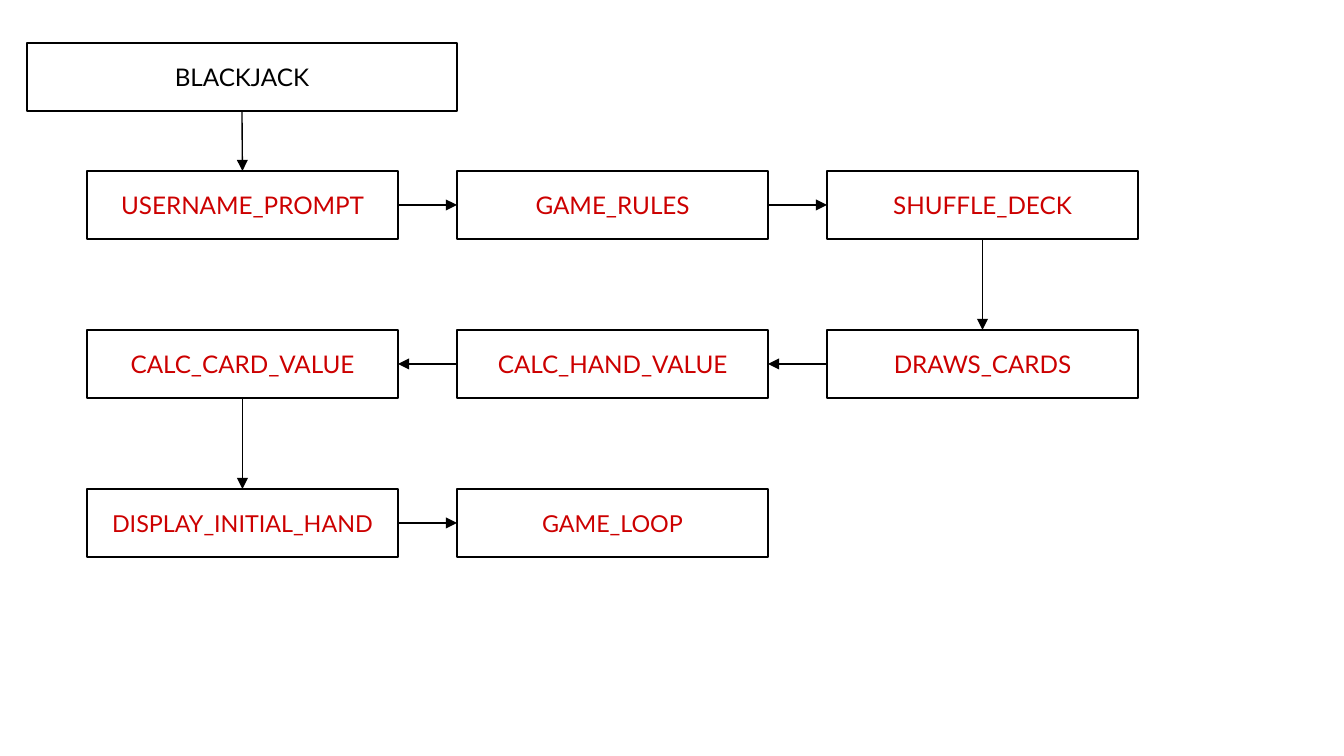
from dataclasses import dataclass
from enum import IntEnum

from lxml.etree import SubElement
from pptx import Presentation
from pptx.dml.color import RGBColor
from pptx.enum.shapes import MSO_CONNECTOR as Conn, MSO_SHAPE as Shape
from pptx.enum.text import MSO_ANCHOR as Anchor, PP_ALIGN as Align
from pptx.oxml.ns import qn
from pptx.shapes.autoshape import Shape as Box
from pptx.slide import Slide
from pptx.util import Emu, Inches, Pt

EMU_PER_PX = 914400 / 134.4


@dataclass(frozen=True)
class Theme:
    font: str = "Lato"
    ink: str = "000000"
    accent: str = "CC0000"
    size: float = 13
    small: float = 12.5
    line: float = 0.75


@dataclass(frozen=True)
class Step:
    name: str
    col: int
    row: int
    size: float


class Side(IntEnum):
    TOP = 0
    LEFT = 1
    BOTTOM = 2
    RIGHT = 3


THEME = Theme()
LEFT, TOP = 87, 171
COL_STEP, ROW_STEP = 370, 159
STEP_W, BOX_H = 311, 68
TITLE_X, TITLE_Y, TITLE_W = 27, 43, 430

STEPS = [
    Step("USERNAME_PROMPT", 0, 0, THEME.size),
    Step("GAME_RULES", 1, 0, THEME.size),
    Step("SHUFFLE_DECK", 2, 0, THEME.size),
    Step("DRAWS_CARDS", 2, 1, THEME.size),
    Step("CALC_HAND_VALUE", 1, 1, THEME.size),
    Step("CALC_CARD_VALUE", 0, 1, THEME.size),
    Step("DISPLAY_INITIAL_HAND", 0, 2, THEME.small),
    Step("GAME_LOOP", 1, 2, THEME.small),
]


def px(n: int) -> Emu:
    return Emu(round(n * EMU_PER_PX))


def write(sp: Box, text: str, *, size: float, color: str) -> None:
    tf = sp.text_frame
    tf.word_wrap = True
    tf.vertical_anchor = Anchor.MIDDLE
    tf.margin_left = tf.margin_right = Inches(0.1)
    tf.margin_top = tf.margin_bottom = Inches(0.1)
    p = tf.paragraphs[0]
    p.alignment = Align.CENTER
    r = p.add_run()
    r.text = text
    r.font.name = THEME.font
    r.font.size = Pt(size)
    r.font.color.rgb = RGBColor.from_string(color)


def add_box(s: Slide, text: str, x: int, y: int, w: int, *,
            size: float, color: str) -> Box:
    sp = s.shapes.add_shape(Shape.RECTANGLE, px(x), px(y), px(w), px(BOX_H))
    sp.shadow.inherit = False
    sp.fill.background()
    sp.line.color.rgb = RGBColor.from_string(THEME.ink)
    sp.line.width = Pt(THEME.line)
    write(sp, text, size=size, color=color)
    return sp


def add_step(s: Slide, step: Step) -> Box:
    return add_box(s, step.name, LEFT + step.col * COL_STEP,
                   TOP + step.row * ROW_STEP, STEP_W,
                   size=step.size, color=THEME.accent)


def add_arrow(s: Slide, a: Box, b: Box) -> None:
    if b.top > a.top:
        start, end = Side.BOTTOM, Side.TOP
    elif b.left > a.left:
        start, end = Side.RIGHT, Side.LEFT
    else:
        start, end = Side.LEFT, Side.RIGHT
    cn = s.shapes.add_connector(Conn.STRAIGHT, 0, 0, 0, 0)
    cn.begin_connect(a, int(start))
    cn.end_connect(b, int(end))
    cn.line.color.rgb = RGBColor.from_string(THEME.ink)
    cn.line.width = Pt(THEME.line)
    ln = cn.line._get_or_add_ln()
    SubElement(ln, qn("a:tailEnd"), type="triangle", w="med", len="med")
    SubElement(cn._element.spPr, qn("a:effectLst"))


def main() -> None:
    prs = Presentation()
    prs.slide_width, prs.slide_height = px(1344), px(756)
    s = prs.slides.add_slide(prs.slide_layouts[6])
    title = add_box(s, "BLACKJACK", TITLE_X, TITLE_Y, TITLE_W,
                    size=THEME.size, color=THEME.ink)
    chain = [title] + [add_step(s, step) for step in STEPS]
    for a, b in zip(chain, chain[1:]):
        add_arrow(s, a, b)
    prs.save("out.pptx")


if __name__ == "__main__":
    main()
